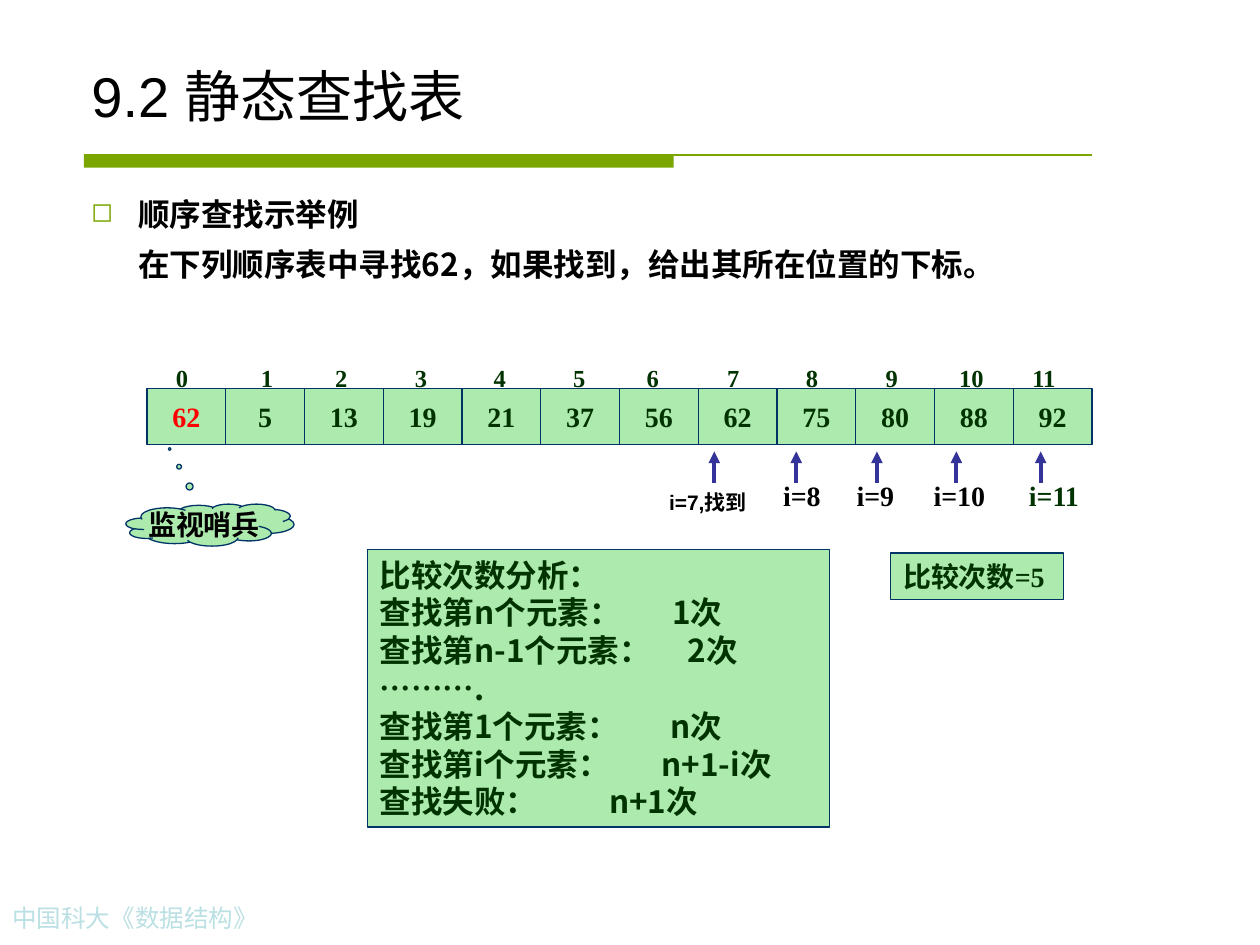
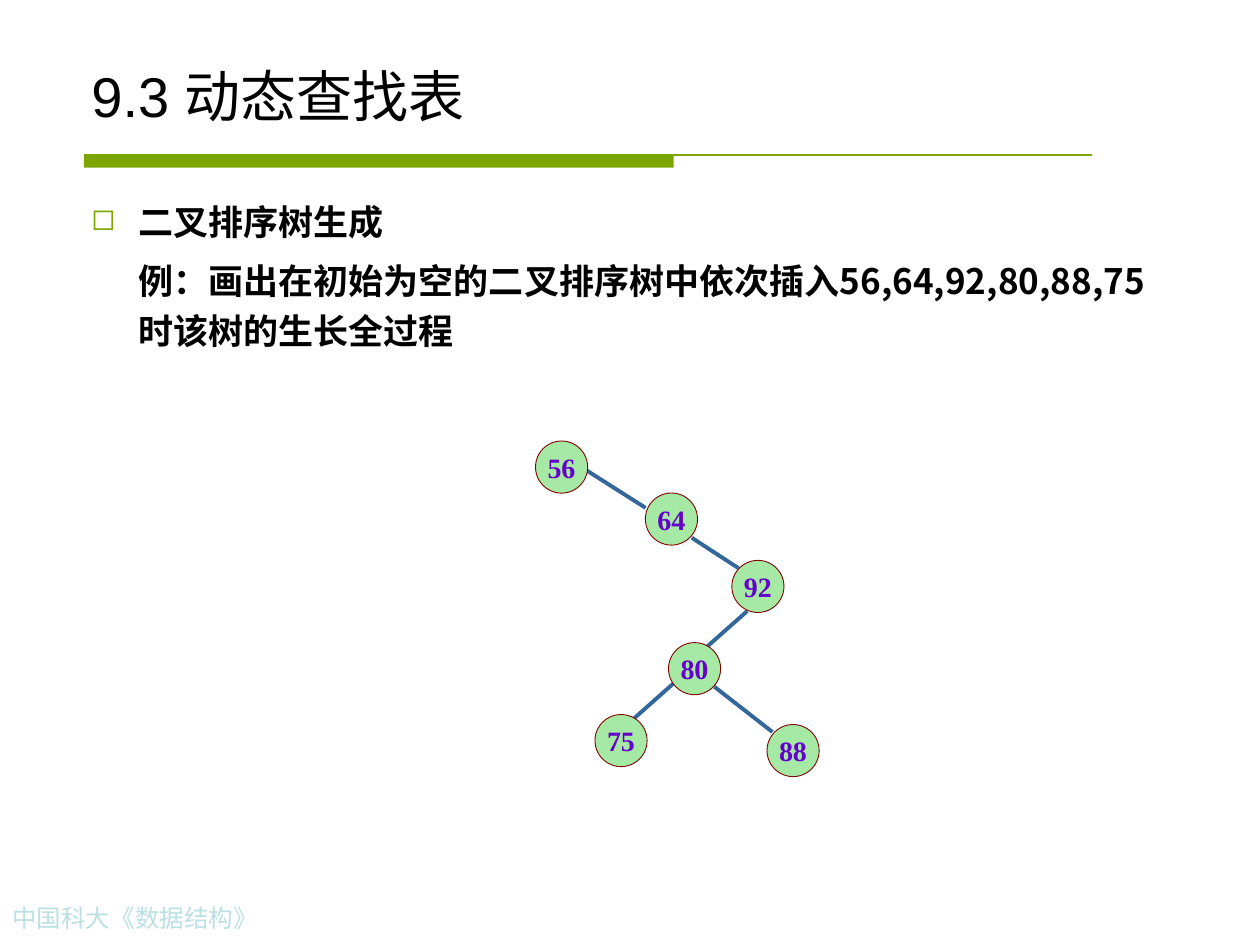
from lxml.etree import SubElement
from pptx import Presentation
from pptx.dml.color import RGBColor
from pptx.enum.shapes import MSO_CONNECTOR, MSO_SHAPE
from pptx.enum.text import MSO_ANCHOR, MSO_AUTO_SIZE, PP_ALIGN
from pptx.oxml.ns import qn
from pptx.util import Pt

BLACK = RGBColor(0x00, 0x00, 0x00)
RED = RGBColor(0xFF, 0x00, 0x00)
BAND_GREEN = RGBColor(0x7B, 0xA6, 0x00)
FOOTER_BLUE = RGBColor(0xBB, 0xE0, 0xE3)
CELL_GREEN = RGBColor(0x33, 0xCC, 0x33)
CELL_LINE = RGBColor(0x00, 0x33, 0x66)
DARK_GREEN = RGBColor(0x00, 0x33, 0x00)
ARROW_BLUE = RGBColor(0x33, 0x33, 0x99)
NODE_GREEN = RGBColor(0xA5, 0xE9, 0xA5)
NODE_LINE = RGBColor(0x80, 0x00, 0x00)
NODE_TEXT = RGBColor(0x66, 0x00, 0xCC)
EDGE_BLUE = RGBColor(0x33, 0x66, 0x99)

SANS = "Noto Sans CJK SC"
SERIF = "Times New Roman"
LEFT, CENTER = PP_ALIGN.LEFT, PP_ALIGN.CENTER
TOP, MIDDLE, BOTTOM = MSO_ANCHOR.TOP, MSO_ANCHOR.MIDDLE, MSO_ANCHOR.BOTTOM


def write_text(shape, lines, name, size, color, bold=True, alignment=LEFT,
               anchor=TOP, wrap=True, tabs=(), tab_alignment="l"):
    frame = shape.text_frame
    frame_format = {
        "word_wrap": wrap, "auto_size": MSO_AUTO_SIZE.NONE, "vertical_anchor": anchor,
        "margin_left": Pt(7.2), "margin_right": Pt(7.2),
        "margin_top": Pt(3.6), "margin_bottom": Pt(3.6),
    }
    for key, value in frame_format.items():
        setattr(frame, key, value)
    for number, line in enumerate(lines):
        paragraph = frame.add_paragraph() if number else frame.paragraphs[0]
        paragraph.alignment = alignment
        stops = tabs[number] if tabs else ()
        if stops:
            tab_list = SubElement(paragraph._p.get_or_add_pPr(), qn("a:tabLst"))
            for stop in stops:
                SubElement(tab_list, qn("a:tab"), pos=str(Pt(stop)), algn=tab_alignment)
        run = paragraph.add_run()
        run.text = line
        for key, value in {"name": name, "size": Pt(size), "bold": bold}.items():
            setattr(run.font, key, value)
        run.font.color.rgb = color
        SubElement(run._r.get_or_add_rPr(), qn("a:ea"), typeface=SANS)


def draw_line(slide, start, end, color, width, arrow=False):
    connector = slide.shapes.add_connector(
        MSO_CONNECTOR.STRAIGHT, *(Pt(value) for value in (*start, *end)))
    connector.line.color.rgb = color
    connector.line.width = Pt(width)
    if arrow:
        SubElement(connector.line._get_or_add_ln(), qn("a:tailEnd"), type="triangle")
    SubElement(connector._element.spPr, qn("a:effectLst"))


presentation = Presentation()
presentation.slide_width, presentation.slide_height = Pt(720), Pt(540)

pages = [
    ("9.2 静态查找表", 18, 1.1, 4.5, 62.5,
     ["顺序查找示举例", "在下列顺序表中寻找62，如果找到，给出其所在位置的下标。"]),
    ("9.3 动态查找表", 20, 1.2, 5, 391,
     ["二叉排序树生成",
      "例：画出在初始为空的二叉排序树中依次插入56,64,92,80,88,75时该树的生长全过程"]),
]
slides = []
for title_text, body_size, line_spacing, gap, body_height, body_lines in pages:
    slide = presentation.slides.add_slide(presentation.slide_layouts[5])
    slides.append(slide)

    band = slide.shapes.add_shape(MSO_SHAPE.RECTANGLE, Pt(48), Pt(88.4), Pt(337), Pt(7.4))
    band.shadow.inherit = False
    band.fill.solid()
    band.fill.fore_color.rgb = BAND_GREEN
    band.line.fill.background()
    draw_line(slide, (48, 88.5), (624, 88.5), BAND_GREEN, 0.75)

    footer = slide.shapes.add_textbox(Pt(0), Pt(512.6), Pt(224), Pt(24.5))
    write_text(footer, ["中国科大《数据结构》"], SERIF, 14, FOOTER_BLUE, bold=False)

    title = slide.shapes.title
    title_place = {"left": 45, "top": 23.8, "width": 630, "height": 53.3}
    for key, value in title_place.items():
        setattr(title, key, Pt(value))
    write_text(title, [title_text], "Arial", 32, BLACK, bold=False, anchor=BOTTOM)

    body = slide.shapes.add_textbox(Pt(45), Pt(106), Pt(630), Pt(body_height))
    write_text(body, body_lines, SANS, body_size, BLACK)
    for number, paragraph in enumerate(body.text_frame.paragraphs):
        paragraph.line_spacing = line_spacing
        properties = paragraph._p.get_or_add_pPr()
        properties.set("marL", str(Pt(27)))
        properties.set("indent", str(Pt(0 if number else -27)))
        if number:
            paragraph.space_before = Pt(gap)
        else:
            bullet_color = SubElement(properties, qn("a:buClr"))
            SubElement(bullet_color, qn("a:srgbClr"), val=str(BAND_GREEN))
            SubElement(properties, qn("a:buSzPct"), val="85000")
            SubElement(properties, qn("a:buChar"), char="◻")

search_slide, tree_slide = slides

comparison_lines = [
    "比较次数分析：", "查找第n个元素：\t1次", "查找第n-1个元素：\t2次", "……….",
    "查找第1个元素：\tn次", "查找第i个元素：\tn+1-i次", "查找失败：\tn+1次",
]
comparison_tabs = [(), (167,), (176,), (), (166,), (161,), (131,)]
centered = {"alignment": CENTER, "anchor": MIDDLE, "wrap": False}
rectangle = MSO_SHAPE.RECTANGLE
green_shapes = [
    (MSO_SHAPE.CLOUD_CALLOUT, (72, 288, 96, 24), ["监视哨兵"], SERIF, 16, BLACK, centered),
    (rectangle, (509, 316, 98.8, 26.6), ["比较次数=5"], SERIF, 16, DARK_GREEN, {"wrap": False}),
    (rectangle, (210, 314, 264, 158.6), comparison_lines, SANS, 18, DARK_GREEN,
     {"tabs": comparison_tabs}),
]
cell_values = [62, 5, 13, 19, 21, 37, 56, 62, 75, 80, 88, 92]
for index, value in enumerate(cell_values):
    green_shapes.append((rectangle, (84 + 45 * index, 222, 45, 32), [str(value)],
                         SERIF, 16, DARK_GREEN if index else RED, centered))
for preset, place, lines, name, size, color, options in green_shapes:
    shape = search_slide.shapes.add_shape(preset, *(Pt(value) for value in place))
    if preset == MSO_SHAPE.CLOUD_CALLOUT:
        shape.adjustments[0], shape.adjustments[1] = -0.24, -1.81
    shape.shadow.inherit = False
    shape.fill.solid()
    shape.fill.fore_color.rgb = CELL_GREEN
    fill_color = shape.fill._xPr.find(qn("a:solidFill"))[0]
    SubElement(fill_color, qn("a:alpha"), val="40000")
    shape.line.color.rgb = CELL_LINE
    shape.line.width = Pt(0.75)
    write_text(shape, lines, name, size, color, **options)

index_centers = [7, 55.5, 98, 143.5, 188.5, 234, 276, 322, 367, 412.5, 458, 499.5]
index_row = search_slide.shapes.add_textbox(Pt(90), Pt(204), Pt(534), Pt(24.5))
write_text(index_row, ["".join(f"\t{index}" for index in range(len(cell_values)))],
           SERIF, 14, DARK_GREEN, tabs=[index_centers], tab_alignment="ctr")

steps = [
    (408.2, "i=7,找到", 372, 276, 65, "Arial", 12, BLACK),
    (455, "i=8", 432, 270, 52.5, SERIF, 16, BLACK),
    (501.1, "i=9", 474, 270, 52.5, SERIF, 16, BLACK),
    (546.5, "i=10", 522, 270, 52.5, SERIF, 16, BLACK),
    (594.7, "i=11", 576, 270, 52.5, SERIF, 16, DARK_GREEN),
]
for arrow_x, text, left, top, width, name, size, color in steps:
    draw_line(search_slide, (arrow_x, 276), (arrow_x, 258), ARROW_BLUE, 2.25, arrow=True)
    label = search_slide.shapes.add_textbox(Pt(left), Pt(top), Pt(width), Pt(26.6))
    write_text(label, [text], name, size, color, alignment=CENTER)

edges = [
    ((335.5, 269), (368.9, 290.2)), ((395.3, 307.3), (422, 324.7)),
    ((427, 349.2), (401.8, 371.5)), ((385.2, 390.2), (360, 412.6)),
    ((408.2, 392.4), (441.4, 418.3)),
]
for start, end in edges:
    draw_line(tree_slide, start, end, EDGE_BLUE, 2.25)

nodes = {56: (306, 252), 64: (368.8, 281.7), 92: (418.2, 320.2),
         80: (382, 367.2), 75: (340, 408.3), 88: (438.3, 414)}
for key, (left, top) in nodes.items():
    node = tree_slide.shapes.add_shape(MSO_SHAPE.OVAL, Pt(left), Pt(top), Pt(29.8), Pt(29.8))
    node.shadow.inherit = False
    node.fill.solid()
    node.fill.fore_color.rgb = NODE_GREEN
    node.line.color.rgb = NODE_LINE
    node.line.width = Pt(0.5)
    write_text(node, [str(key)], SERIF, 16, NODE_TEXT, **centered)

presentation.save("out.pptx")
